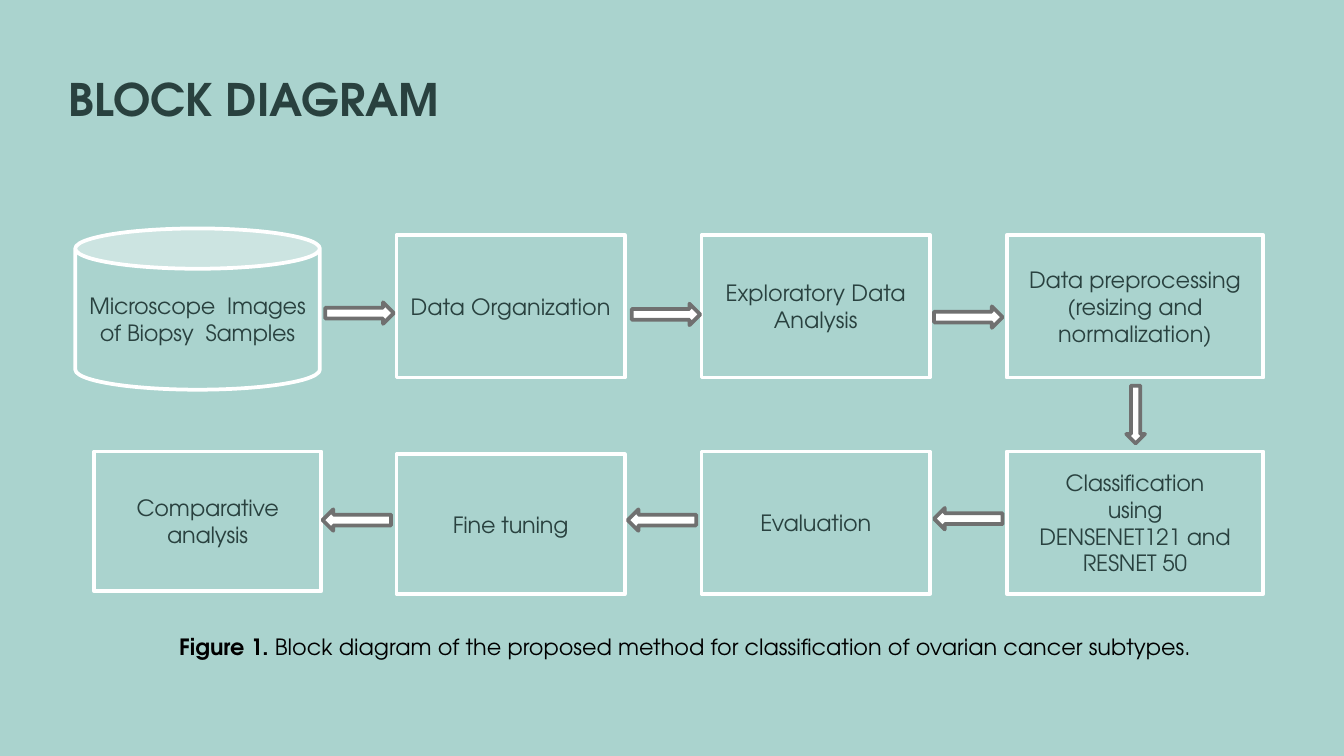
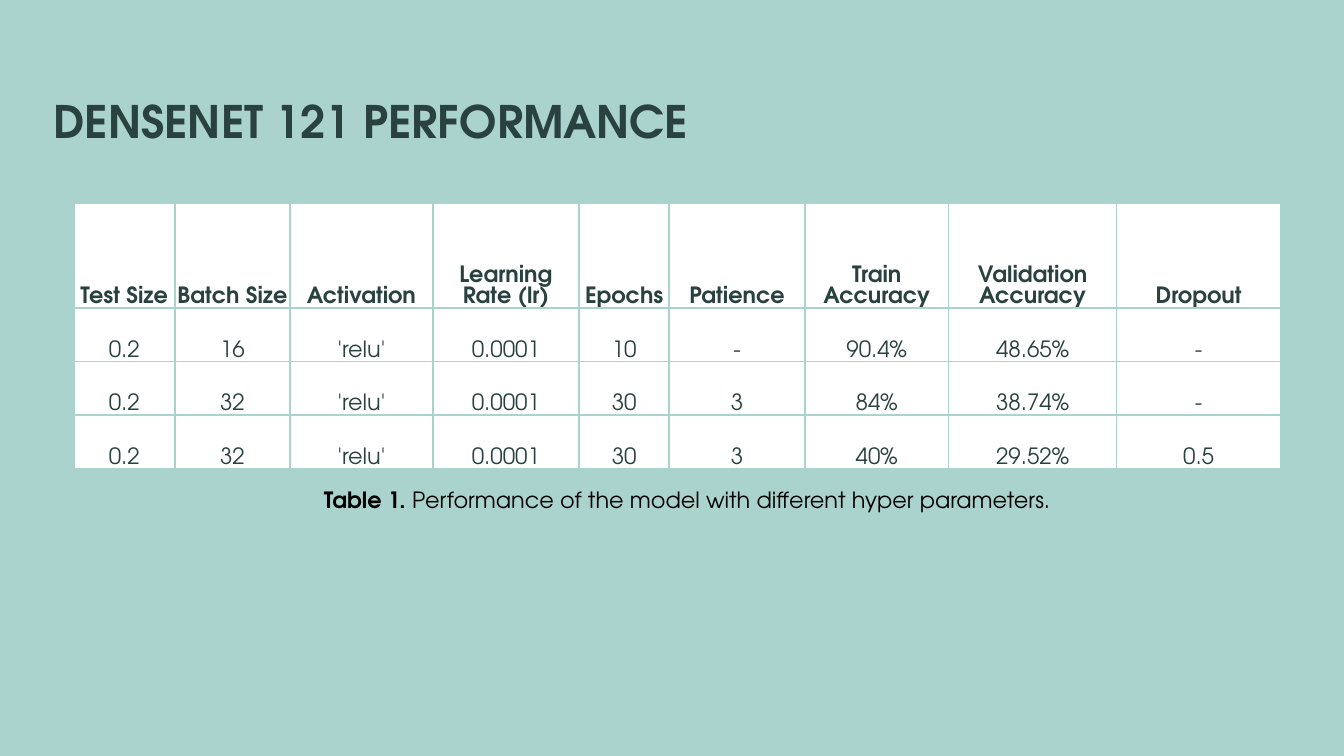
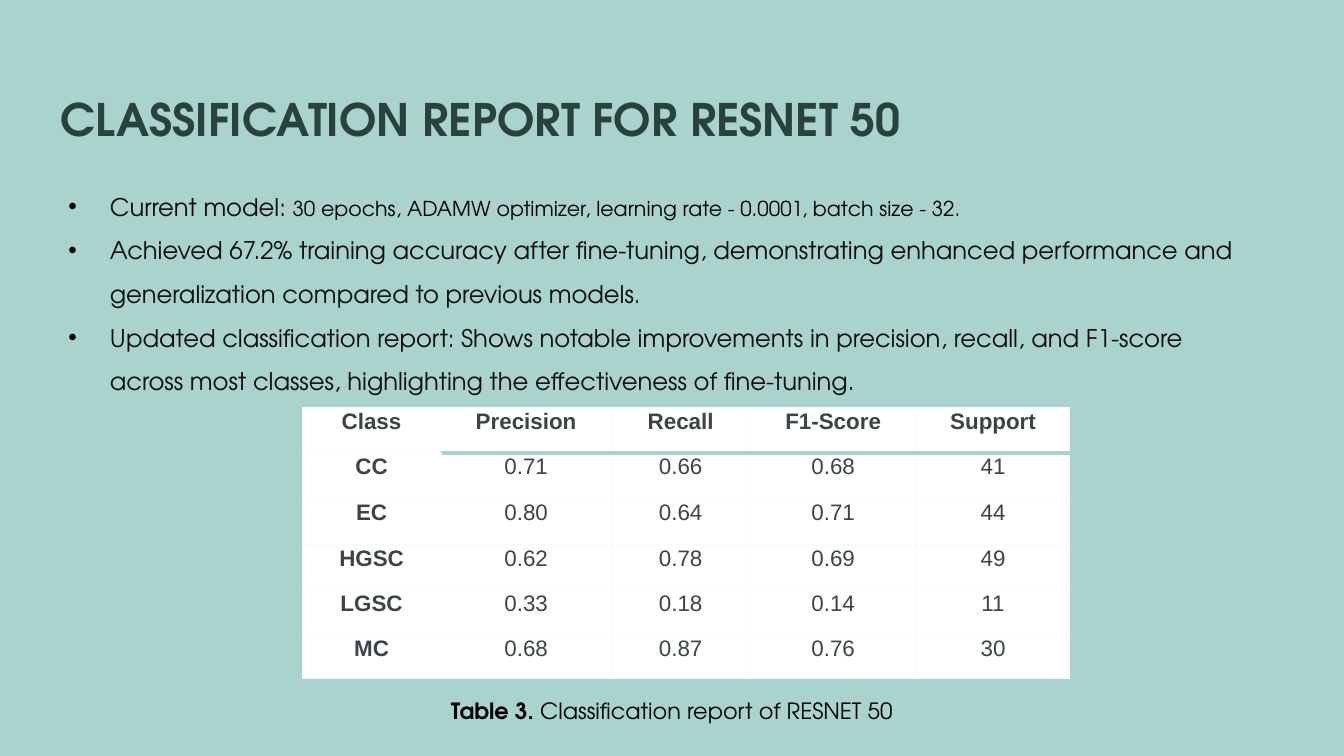
from lxml import etree
from pptx import Presentation
from pptx.dml.color import RGBColor
from pptx.enum.shapes import MSO_SHAPE
from pptx.enum.text import MSO_ANCHOR, MSO_AUTO_SIZE, PP_ALIGN
from pptx.oxml.ns import qn
from pptx.util import Inches, Pt

MINT, WHITE, PINE, BLACK = "AAD3CE", "FFFFFF", "29413F", "000000"
GRAY, SLATE, PALE, INK = "707070", "3B4446", "F9F9F9", "0D0D0D"
FONT = "TeX Gyre Adventor"

# Flow diagram: (shape, left, top, width, height, text)
TOP_ROW = [
    (MSO_SHAPE.CAN, 0.56, 1.7, 1.82, 1.2, "Microscope  Images of Biopsy  Samples"),
    (MSO_SHAPE.RECTANGLE, 2.95, 1.75, 1.7, 1.06, "Data Organization"),
    (MSO_SHAPE.RECTANGLE, 5.22, 1.75, 1.7, 1.06, "Exploratory Data Analysis"),
    (MSO_SHAPE.RECTANGLE, 7.49, 1.75, 1.91, 1.06,
     "Data preprocessing (resizing and normalization)"),
]
LOW_ROW = [
    (MSO_SHAPE.RECTANGLE, 7.49, 3.36, 1.91, 1.06,
     "Classification using DENSENET121 and RESNET 50"),
    (MSO_SHAPE.RECTANGLE, 5.22, 3.36, 1.7, 1.06, "Evaluation"),
    (MSO_SHAPE.RECTANGLE, 2.95, 3.38, 1.7, 1.04, "Fine tuning"),
    (MSO_SHAPE.RECTANGLE, 0.7, 3.36, 1.69, 1.04, "Comparative analysis"),
]
LONG, THIN = 0.51, 0.16
ARROWS = [
    (MSO_SHAPE.RIGHT_ARROW, 2.42, 2.25, LONG, THIN),
    (MSO_SHAPE.RIGHT_ARROW, 6.95, 2.28, LONG, THIN),
    (MSO_SHAPE.RIGHT_ARROW, 4.7, 2.26, LONG, THIN),
    (MSO_SHAPE.DOWN_ARROW, 8.38, 2.87, 0.14, 0.43),
    (MSO_SHAPE.LEFT_ARROW, 6.95, 3.78, LONG, THIN),
    (MSO_SHAPE.LEFT_ARROW, 2.4, 3.79, LONG, THIN),
    (MSO_SHAPE.LEFT_ARROW, 4.67, 3.79, LONG, THIN),
]

TRIALS = [
    ("Test Size", "Batch Size", "Activation", "Learning Rate (lr)", "Epochs",
     "Patience", "Train Accuracy", "Validation Accuracy", "Dropout"),
    ("0.2", "16", "'relu'", "0.0001", "10", "-", "90.4%", "48.65%", "-"),
    ("0.2", "32", "'relu'", "0.0001", "30", "3", "84%", "38.74%", "-"),
    ("0.2", "32", "'relu'", "0.0001", "30", "3", "40%", "29.52%", "0.5"),
]
TRIAL_COLS = [0.75, 0.86, 1.06, 1.09, 0.67, 1.01, 1.07, 1.25, 1.22]
TRIAL_ROWS = [0.78, 0.4, 0.4, 0.4]

SCORES = [
    ("Class", "Precision", "Recall", "F1-Score", "Support"),
    ("CC", "0.71", "0.66", "0.68", "41"),
    ("EC", "0.80", "0.64", "0.71", "44"),
    ("HGSC", "0.62", "0.78", "0.69", "49"),
    ("LGSC", "0.33", "0.18", "0.14", "11"),
    ("MC", "0.68", "0.87", "0.76", "30"),
]
SCORE_COLS = [1.03, 1.27, 1.03, 1.24, 1.14]
SCORE_ROWS = [0.34] * 4 + [0.33] * 2

POINTS = [
    [("Current model: ", {}),
     ("30 epochs, ADAMW optimizer, learning rate - 0.0001, batch size - 32.",
      {"size": 11, "color": BLACK})],
    "Achieved 67.2% training accuracy after fine-tuning, demonstrating enhanced "
    "performance and generalization compared to previous models.",
    "Updated classification report: Shows notable improvements in precision, recall, "
    "and F1-score across most classes, highlighting the effectiveness of fine-tuning.",
]


def rgb(code):
    return RGBColor.from_string(code)


def style(run, size=12, color=PINE, bold=False, font=FONT, track=None):
    run.font.size = Pt(size)
    run.font.name = font
    run.font.bold = bold
    run.font.color.rgb = rgb(color)
    if track:
        run.font._element.set("spc", str(track))


def write(frame, paras, align=PP_ALIGN.CENTER, lead=None, before=None, after=None,
          left=0, right=0, hang=0, bullet=None, **look):
    """Fill a frame; a paragraph is a string or a list of (text, format) runs."""
    frame.word_wrap = True
    for i, para in enumerate(paras):
        p = frame.paragraphs[0] if i == 0 else frame.add_paragraph()
        p.alignment = align
        if lead:
            p.line_spacing = lead
        if before:
            p.space_before = Pt(before)
        if after:
            p.space_after = Pt(after)
        props = p._p.get_or_add_pPr()
        for key, gap in (("marL", left), ("marR", right), ("indent", hang)):
            if gap:
                props.set(key, str(Inches(gap)))
        if bullet:
            tint = etree.SubElement(props, qn("a:buClr"))
            etree.SubElement(tint, qn("a:srgbClr"), val=BLACK)
            etree.SubElement(props, qn("a:buFont"), typeface="Arial")
            etree.SubElement(props, qn("a:buChar"), char=bullet)
        for text, extra in [(para, {})] if isinstance(para, str) else para:
            run = p.add_run()
            run.text = text
            style(run, **{**look, **extra})


def add_text(slide, box, paras, **form):
    frame = slide.shapes.add_textbox(*map(Inches, box)).text_frame
    write(frame, paras, **form)
    return frame


def add_title(slide, box, text):
    frame = add_text(slide, box, [text], align=PP_ALIGN.LEFT, size=24, bold=True)
    frame.margin_top = frame.margin_bottom = Inches(0.1)
    frame.vertical_anchor = MSO_ANCHOR.BOTTOM


def add_caption(slide, box, label, text, **form):
    frame = add_text(slide, box, [[(label, {"bold": True}), (text, {})]],
                     color=BLACK, **form)
    frame.auto_size = MSO_AUTO_SIZE.SHAPE_TO_FIT_TEXT


def add_block(slide, kind, box, fill, line):
    shape = slide.shapes.add_shape(kind, *map(Inches, box))
    shape.shadow.inherit = False
    shape.fill.solid()
    shape.fill.fore_color.rgb = rgb(fill)
    shape.line.color.rgb = rgb(line)
    shape.line.width = Pt(2)
    return shape


def add_edges(cell, edges):
    """Draw the borders given as {side: (color, points)}."""
    props = cell._tc.get_or_add_tcPr()
    for side in "LRTB":
        color, width = edges[side]
        line = etree.SubElement(props, qn("a:ln" + side), w=str(Pt(width)))
        solid = etree.SubElement(line, qn("a:solidFill"))
        etree.SubElement(solid, qn("a:srgbClr"), val=color)


def add_grid(slide, left, top, data, cols, rows, pads, anchor, edges, heads, **form):
    """Add a white table; edges(r, c) gives borders and heads(r, c) the bold cells."""
    table = slide.shapes.add_table(
        len(rows), len(cols), Inches(left), Inches(top),
        Inches(sum(cols)), Inches(sum(rows))).table
    table.horz_banding = False
    for col, width in zip(table.columns, cols):
        col.width = Inches(width)
    for r, (row, height) in enumerate(zip(data, rows)):
        table.rows[r].height = Inches(height)
        for c, text in enumerate(row):
            cell = table.cell(r, c)
            add_edges(cell, edges(r, c))
            cell.fill.solid()
            cell.fill.fore_color.rgb = rgb(WHITE)
            (cell.margin_left, cell.margin_top,
             cell.margin_right, cell.margin_bottom) = map(Inches, pads)
            cell.vertical_anchor = anchor
            write(cell.text_frame, [text], bold=heads(r, c), **form)


def trial_edges(r, c):
    return dict.fromkeys("LRTB", (MINT, 1))


def score_edges(r, c):
    """Rule off the header, except over the class names."""
    edges = dict.fromkeys("LRTB", (PALE, 0.75))
    if c == 0:
        edges["R"] = (WHITE, 0.75 if r == 0 else 2)
    elif r < 2:
        edges["B" if r == 0 else "T"] = (MINT, 2)
    if c == 1:
        edges["L"] = (WHITE, 0.75 if r == 0 else 2)
    return edges


def draw_flow(slide):
    tight = {"track": -10}
    inset = {"left": 0.13, "right": 0.13, "before": 3.8, **tight}
    forms = [tight, {}, {}, {}] + [inset] * len(LOW_ROW)
    for (kind, *box, text), form in zip(TOP_ROW + LOW_ROW, forms):
        frame = add_block(slide, kind, box, MINT, WHITE).text_frame
        frame.vertical_anchor = MSO_ANCHOR.MIDDLE
        write(frame, [text], **form)
    for kind, *box in ARROWS:
        add_block(slide, kind, box, WHITE, GRAY)
    add_title(slide, (0.41, 0.44, 4.03, 0.59), "BLOCK DIAGRAM")
    add_caption(slide, (-0.11, 4.66, 10.42, 0.3), "Figure 1. ",
                "Block diagram of the proposed method for classification "
                "of ovarian cancer subtypes.")


def draw_trials(slide):
    add_grid(slide, 0.55, 1.51, TRIALS, TRIAL_COLS, TRIAL_ROWS,
             (0.01, 0.01, 0.01, 0), MSO_ANCHOR.BOTTOM, trial_edges,
             lambda r, c: r == 0)
    add_title(slide, (0.3, 0.61, 5.47, 0.59), "DENSENET 121 PERFORMANCE")
    add_caption(slide, (0.55, 3.57, 9.13, 0.3), "Table 1. ",
                "Performance of the model with different hyper parameters.")


def draw_report(slide):
    add_title(slide, (0.35, 0.59, 8.49, 0.59), "CLASSIFICATION REPORT FOR RESNET 50")
    add_grid(slide, 2.25, 3.03, SCORES, SCORE_COLS, SCORE_ROWS,
             (0.07, 0, 0.07, 0), MSO_ANCHOR.TOP, score_edges,
             lambda r, c: r == 0 or c == 0,
             lead=1.07, after=8, font="Arial", color=SLATE)
    add_caption(slide, (2.25, 5.04, 5, 0.38), "Table 3. ",
                "Classification report of RESNET 50", left=0.5, lead=1.5, after=8)
    frame = add_text(slide, (0.41, 1.27, 8.9, 2.07), POINTS, align=PP_ALIGN.LEFT,
                     lead=1.5, left=0.31, hang=-0.31, bullet="•", size=13, color=INK)
    frame.auto_size = MSO_AUTO_SIZE.SHAPE_TO_FIT_TEXT


def main():
    deck = Presentation()
    deck.slide_width = Inches(10)
    deck.slide_height = deck.slide_width * 9 // 16
    back = deck.slide_master.background.fill
    back.solid()
    back.fore_color.rgb = rgb(MINT)
    for draw in (draw_flow, draw_trials, draw_report):
        draw(deck.slides.add_slide(deck.slide_layouts[6]))
    deck.save("out.pptx")


if __name__ == "__main__":
    main()
